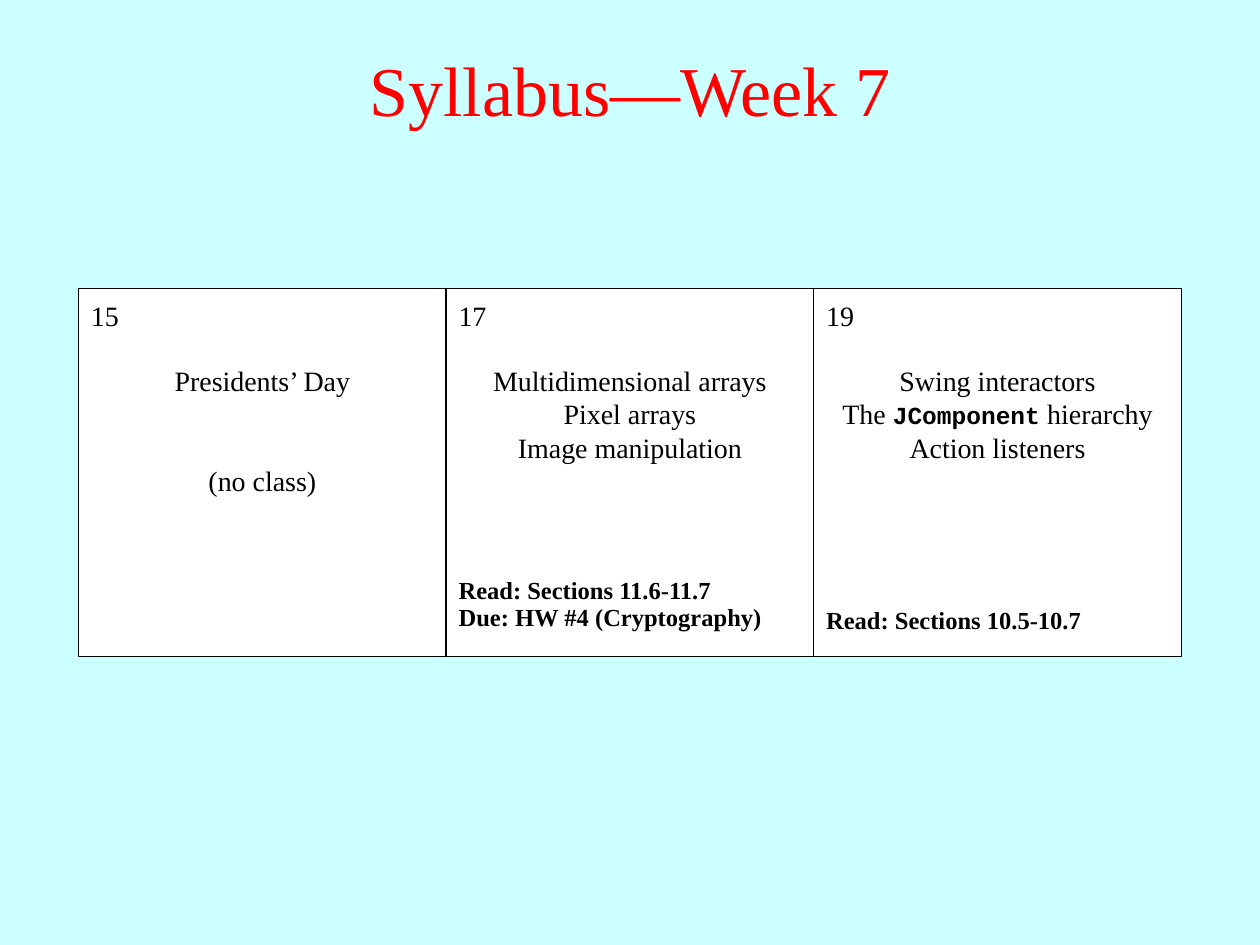
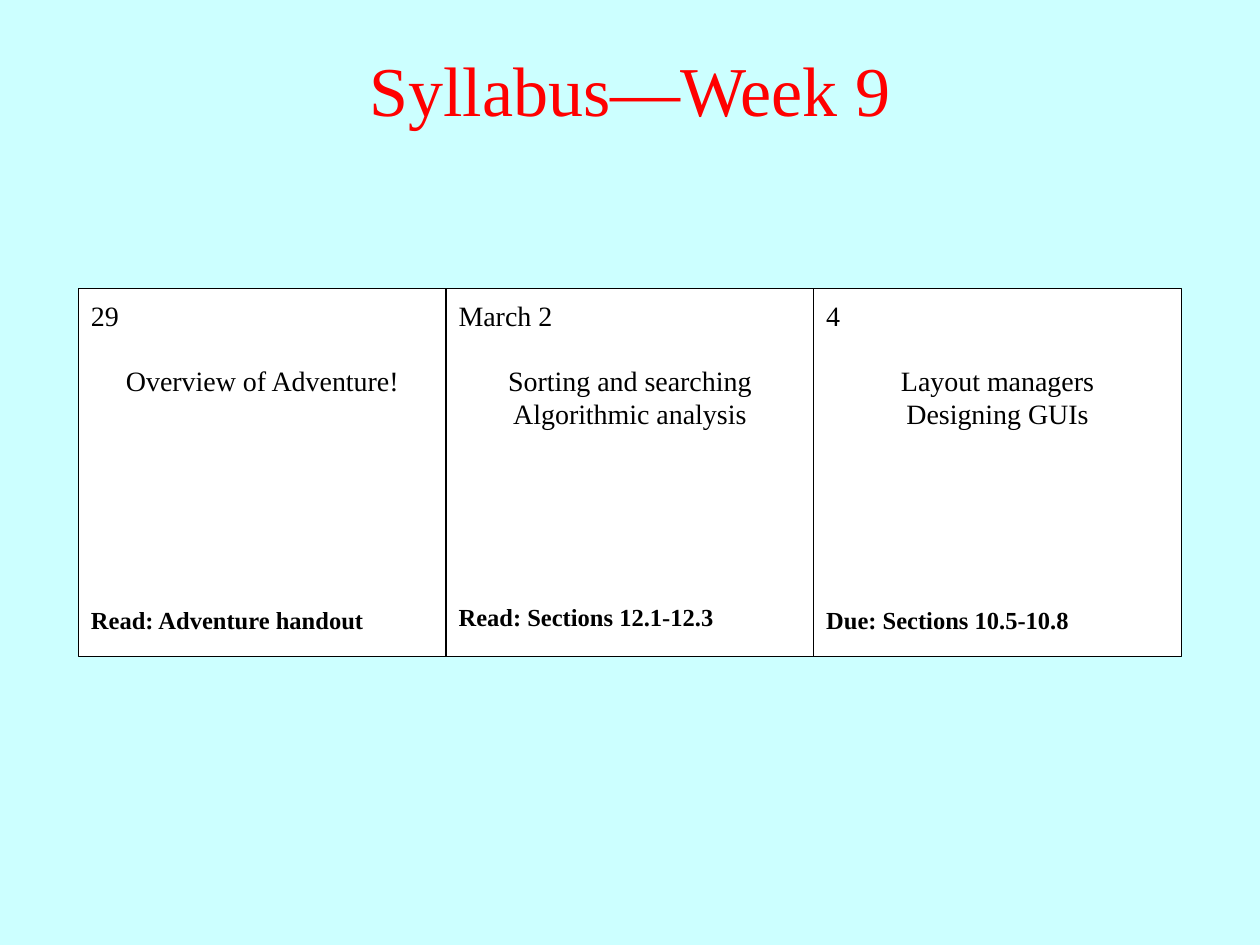
from dataclasses import dataclass

import pptx
import pptx.dml.color
import pptx.enum.shapes
import pptx.enum.text
import pptx.presentation
import pptx.slide
import pptx.text.text
import pptx.util
from pptx.enum.text import MSO_ANCHOR, PP_ALIGN
from pptx.util import Cm, Pt

COLORS = {"background": "CCFFFF", "title": "FF0000", "card": "FFFFFF", "ink": "000000"}
BODY_FONT = "Times New Roman"
CODE_FONT = "Courier New"

SLIDE_WIDTH, SLIDE_HEIGHT = Cm(25.4), Cm(19.05)
CARD_SIZE = Cm(7.41)
CARD_TOP = Cm(5.82)
DATE_TOP, DATE_HEIGHT = Cm(5.89), Cm(0.93)
TOPICS_TOP, TOPIC_LINE = Cm(7.19), Cm(0.69)
TASKS_TOP, TASKS_HEIGHT = Cm(11.58), Cm(1.35)
PADDING = Cm(0.13)


@dataclass(frozen=True)
class TextStyle:
    size: float
    color: str = "ink"
    bold: bool = False
    align: PP_ALIGN = PP_ALIGN.LEFT
    anchor: MSO_ANCHOR = MSO_ANCHOR.TOP
    line_spacing: float = 1.0


@dataclass(frozen=True)
class Day:
    """One class day; words between backticks in a topic are code."""
    date: str
    topics: tuple[str, ...]
    tasks: tuple[str, ...] = ()
    topic_gap: float = 0
    task_padding: pptx.util.Length = PADDING


@dataclass(frozen=True)
class Week:
    number: int
    days: tuple[Day, ...]


TITLE = TextStyle(40, "title", align=PP_ALIGN.CENTER, anchor=MSO_ANCHOR.MIDDLE)
DATE = TextStyle(16)
TOPICS = TextStyle(16, align=PP_ALIGN.CENTER)
TASKS = TextStyle(14, bold=True, anchor=MSO_ANCHOR.BOTTOM, line_spacing=0.9)

WEEKS = (
    Week(7, (
        Day("15", ("Presidents’ Day", "(no class)"), topic_gap=38),
        Day("17", ("Multidimensional arrays", "Pixel arrays", "Image manipulation"),
            ("Read: Sections 11.6-11.7", "Due: HW #4 (Cryptography)"),
            task_padding=Cm(0.2)),
        Day("19", ("Swing interactors", "The `JComponent` hierarchy", "Action listeners"),
            ("Read: Sections 10.5-10.7",)),
    )),
    Week(9, (
        Day("29", ("Overview of Adventure!",), ("Read: Adventure handout",)),
        Day("March 2", ("Sorting and searching", "Algorithmic analysis"),
            ("Read: Sections 12.1-12.3",), task_padding=Cm(0.2)),
        Day("4", ("Layout managers", "Designing GUIs"), ("Due: Sections 10.5-10.8",)),
    )),
)


def rgb(name: str) -> pptx.dml.color.RGBColor:
    return pptx.dml.color.RGBColor.from_string(COLORS[name])


def write_line(paragraph: pptx.text.text._Paragraph, line: str, style: TextStyle) -> None:
    paragraph.alignment = style.align
    paragraph.line_spacing = style.line_spacing
    for index, part in enumerate(line.split("`")):
        is_code = index % 2 == 1
        run = paragraph.add_run()
        run.text = part
        run.font.name = CODE_FONT if is_code else BODY_FONT
        run.font.size = Pt(14 if is_code else style.size)
        run.font.bold = is_code or style.bold
        run.font.color.rgb = rgb(style.color)


def add_text(shapes, left: int, top: int, width: int, height: int,
             lines: tuple[str, ...], style: TextStyle, gap: float = 0,
             bottom_padding: int = PADDING) -> None:
    text_frame = shapes.add_textbox(left, top, width, height).text_frame
    text_frame.word_wrap = True
    text_frame.vertical_anchor = style.anchor
    text_frame.margin_top = PADDING
    text_frame.margin_bottom = bottom_padding
    for index, line in enumerate(lines):
        paragraph = text_frame.add_paragraph() if index else text_frame.paragraphs[0]
        paragraph.space_before = Pt(gap if index else 0)
        write_line(paragraph, line, style)


def add_day(slide: pptx.slide.Slide, left: int, day: Day) -> None:
    shapes = slide.shapes.add_group_shape().shapes
    card = shapes.add_shape(pptx.enum.shapes.MSO_SHAPE.RECTANGLE,
                            left, CARD_TOP, CARD_SIZE, CARD_SIZE)
    card.shadow.inherit = False
    card.fill.solid()
    card.fill.fore_color.rgb = rgb("card")
    card.line.color.rgb = rgb("ink")
    card.line.width = Pt(0.75)

    topics_height = 2 * PADDING + len(day.topics) * TOPIC_LINE + Pt(day.topic_gap)
    add_text(shapes, left, DATE_TOP, CARD_SIZE, DATE_HEIGHT, (day.date,), DATE)
    add_text(shapes, left, TOPICS_TOP, CARD_SIZE, topics_height,
             day.topics, TOPICS, day.topic_gap)
    if day.tasks:
        add_text(shapes, left, TASKS_TOP, CARD_SIZE, TASKS_HEIGHT,
                 day.tasks, TASKS, bottom_padding=day.task_padding)


def add_week(presentation: pptx.presentation.Presentation, week: Week) -> None:
    slide = presentation.slides.add_slide(presentation.slide_layouts[6])
    slide.background.fill.solid()
    slide.background.fill.fore_color.rgb = rgb("background")
    add_text(slide.shapes, 0, Cm(0.2), SLIDE_WIDTH, Cm(3.18),
             (f"Syllabus—Week {week.number}",), TITLE)
    first_left = (SLIDE_WIDTH - len(week.days) * CARD_SIZE) // 2
    for column, day in enumerate(week.days):
        add_day(slide, first_left + column * CARD_SIZE, day)


def main() -> None:
    presentation = pptx.Presentation()
    presentation.slide_width = SLIDE_WIDTH
    presentation.slide_height = SLIDE_HEIGHT
    for week in WEEKS:
        add_week(presentation, week)
    presentation.save("out.pptx")


if __name__ == "__main__":
    main()
